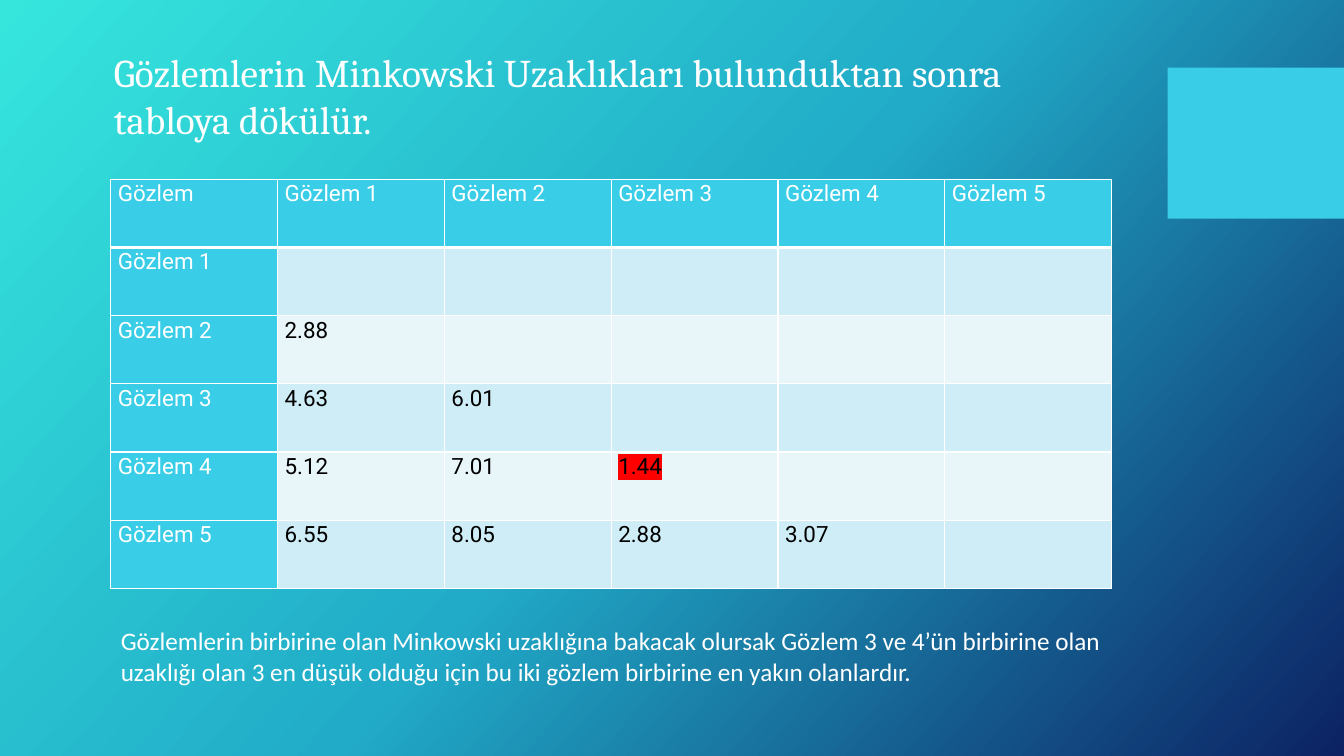
import copy
from dataclasses import dataclass

import pptx
import pptx.dml.color
import pptx.enum.shapes
import pptx.enum.text
import pptx.oxml
import pptx.oxml.ns
import pptx.util

COLUMNS, ROWS = 32, 18
UNIT = pptx.util.Inches(7.5) / ROWS


@dataclass(frozen=True)
class Theme:
    gradient: tuple = ((0, "36E6DD"), (0.5, "21ABC8"), (1, "0C2263"))
    gradient_angle: int = 318
    accent: str = "39CDE7"
    bands: tuple = ("CEEDF6", "E8F6FA")
    light: str = "FFFFFF"
    dark: str = "000000"
    highlight: str = "FF0000"
    title_font: str = "Cambria"
    table_font: str = "Roboto"
    note_font: str = "Calibri"
    title_size: int = 28
    table_size: int = 16
    note_size: int = 18


@dataclass(frozen=True)
class Box:
    """A place on the slide in grid columns and rows."""
    column: float
    row: float
    width: float
    height: float

    def emu(self) -> tuple:
        return tuple(round(n * UNIT) for n in (self.column, self.row, self.width, self.height))


THEME = Theme()
ACCENT_BOX = Box(27.8, 1.61, 4.2, 3.6)
TITLE_BOX = Box(2.47, 1.03, 23.83, 2.5)
TABLE_BOX = Box(2.64, 4.27, 23.83, 9.74)
NOTE_BOX = Box(2.64, 14.78, 24.14, 1.7)

TITLE = "Gözlemlerin Minkowski Uzaklıkları bulunduktan sonra tabloya dökülür."
NOTE = ("Gözlemlerin birbirine olan Minkowski uzaklığına bakacak olursak Gözlem 3 ve 4’ün "
        "birbirine olan uzaklığı olan 3 en düşük olduğu için bu iki gözlem birbirine en yakın "
        "olanlardır.")
DISTANCES = (
    (),
    ("2.88",),
    ("4.63", "6.01"),
    ("5.12", "7.01", "1.44"),
    ("6.55", "8.05", "2.88", "3.07"),
)
SMALLEST = min((d for row in DISTANCES for d in row), key=float)


def rgb(color: str) -> pptx.dml.color.RGBColor:
    return pptx.dml.color.RGBColor.from_string(color)


def style(p, font: str, size: int, color: str) -> None:
    p.font.name = font
    p.font.size = pptx.util.Pt(size)
    p.font.color.rgb = rgb(color)


def paint_background(s) -> None:
    fill = s.background.fill
    fill.gradient()
    fill.gradient_angle = THEME.gradient_angle
    stops = s.element.find(".//" + pptx.oxml.ns.qn("a:gsLst"))
    stops.append(copy.deepcopy(stops[-1]))
    for stop, (position, color) in zip(fill.gradient_stops, THEME.gradient):
        stop.position = position
        stop.color.rgb = rgb(color)


def write_text(sp, text: str, font: str, size: int) -> None:
    tf = sp.text_frame
    tf.word_wrap = True
    tf.auto_size = pptx.enum.text.MSO_AUTO_SIZE.SHAPE_TO_FIT_TEXT
    tf.vertical_anchor = pptx.enum.text.MSO_ANCHOR.TOP
    tf.text = text
    p = tf.paragraphs[0]
    p.alignment = pptx.enum.text.PP_ALIGN.LEFT
    style(p, font, size, THEME.light)


def add_title(s) -> None:
    sp = s.shapes.title
    sp.left, sp.top, sp.width, sp.height = TITLE_BOX.emu()
    write_text(sp, TITLE, THEME.title_font, THEME.title_size)


def add_accent(s) -> None:
    sp = s.shapes.add_shape(pptx.enum.shapes.MSO_SHAPE.RECTANGLE, *ACCENT_BOX.emu())
    sp.shadow.inherit = False
    sp.fill.solid()
    sp.fill.fore_color.rgb = rgb(THEME.accent)
    sp.line.fill.background()


def set_borders(cell, is_header: bool) -> None:
    properties = cell._tc.get_or_add_tcPr()
    for index, side in enumerate("LRTB"):
        width = pptx.util.Pt(3 if is_header and side == "B" else 1)
        properties.insert(index, pptx.oxml.parse_xml(
            f'<a:ln{side} {pptx.oxml.ns.nsdecls("a")} w="{width}"><a:solidFill>'
            f'<a:srgbClr val="{THEME.light}"/></a:solidFill></a:ln{side}>'))


def highlight(r) -> None:
    r.font._element.append(pptx.oxml.parse_xml(
        f'<a:highlight {pptx.oxml.ns.nsdecls("a")}>'
        f'<a:srgbClr val="{THEME.highlight}"/></a:highlight>'))


def fill_cell(cell, text: str, row: int, column: int) -> None:
    is_label = row == 0 or column == 0
    cell.margin_left = cell.margin_right = pptx.util.Inches(0.07)
    cell.margin_top = cell.margin_bottom = 0
    cell.fill.solid()
    cell.fill.fore_color.rgb = rgb(THEME.accent if is_label else THEME.bands[(row - 1) % 2])
    set_borders(cell, row == 0)
    cell.text = text
    p = cell.text_frame.paragraphs[0]
    p.line_spacing = 1.07
    p.space_after = pptx.util.Pt(8)
    style(p, THEME.table_font, THEME.table_size, THEME.light if is_label else THEME.dark)
    if text == SMALLEST:
        highlight(p.runs[0])


def add_distance_table(s) -> None:
    labels = [f"Gözlem {n}" for n in range(1, len(DISTANCES) + 1)]
    rows = [["Gözlem", *labels]]
    rows += [[label, *row] for label, row in zip(labels, DISTANCES)]
    count = len(rows)
    table = s.shapes.add_table(count, count, *TABLE_BOX.emu()).table
    for i, row in enumerate(rows):
        for j in range(count):
            fill_cell(table.cell(i, j), row[j] if j < len(row) else "", i, j)


def main() -> None:
    prs = pptx.Presentation()
    prs.slide_width, prs.slide_height = round(COLUMNS * UNIT), round(ROWS * UNIT)
    s = prs.slides.add_slide(prs.slide_layouts[5])
    paint_background(s)
    add_accent(s)
    add_title(s)
    add_distance_table(s)
    write_text(s.shapes.add_textbox(*NOTE_BOX.emu()), NOTE, THEME.note_font, THEME.note_size)
    prs.save("out.pptx")


if __name__ == "__main__":
    main()
